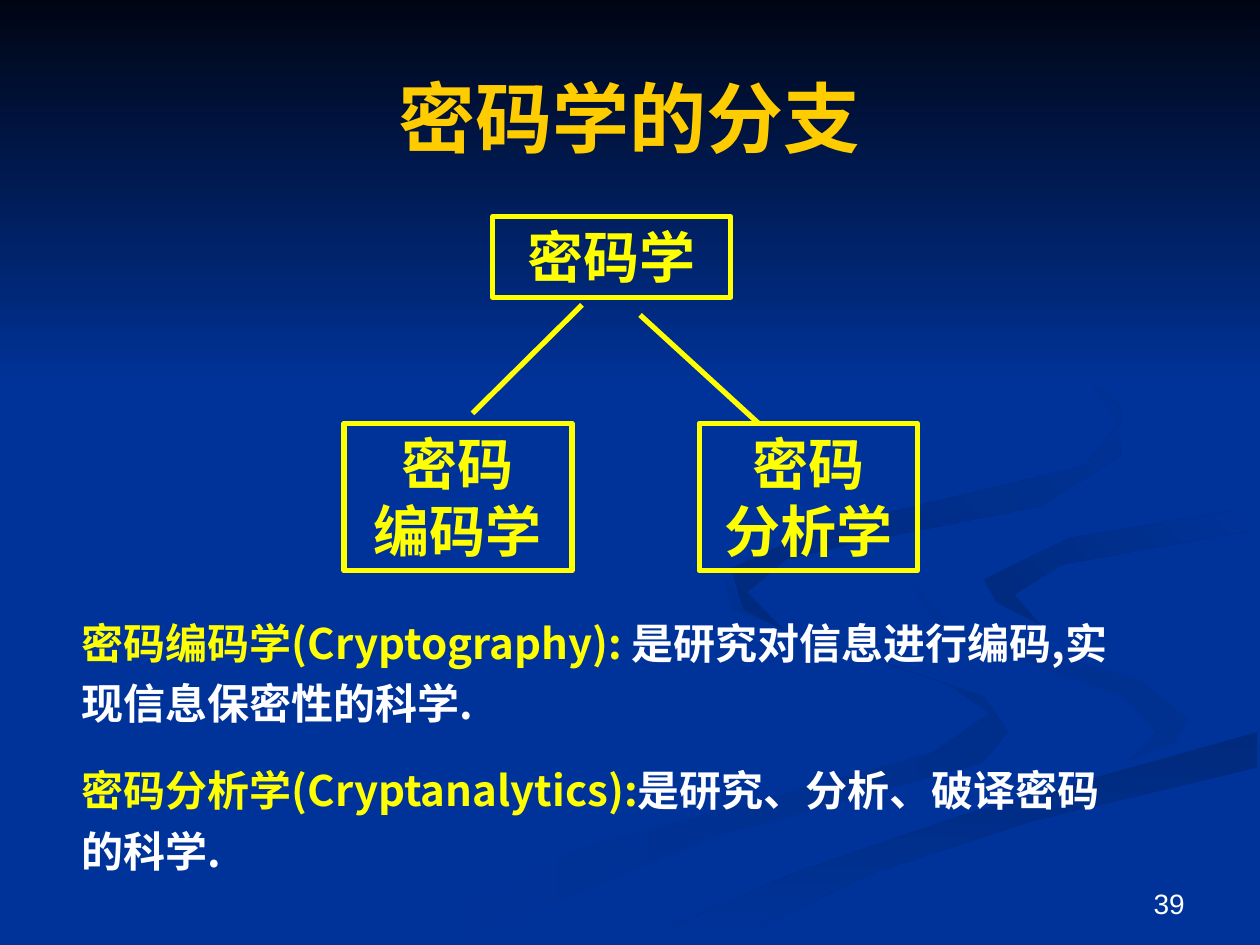
from lxml.etree import SubElement
from pptx import Presentation
from pptx.dml.color import RGBColor
from pptx.enum.shapes import MSO_CONNECTOR, MSO_SHAPE
from pptx.enum.text import MSO_ANCHOR, MSO_AUTO_SIZE, PP_ALIGN
from pptx.oxml.ns import qn
from pptx.util import Inches, Pt

COLORS = {"blue": "003399", "night": "000514", "gold": "FFCC00", "yellow": "FFFF00", "white": "FFFFFF",
          "dusk": "002E8B", "deep": "002A7D"}
RGB = {name: RGBColor.from_string(value) for name, value in COLORS.items()}
CJK = "Noto Sans CJK SC"

prs = Presentation()
prs.slide_width, prs.slide_height = Inches(10), Inches(7.5)
UNIT = prs.slide_width // 1000
slide = prs.slides.add_slide(prs.slide_layouts[1])
shapes = slide.shapes
slide.background.fill.solid()
slide.background.fill.fore_color.rgb = RGB["blue"]


def grid(*cells):
    return [cell * UNIT for cell in cells]


def style(run, size, color, face, bold=True):
    run.font.size, run.font.bold, run.font.name = Pt(size), bold, face
    run.font.color.rgb = RGB[color]
    SubElement(run.font._element, qn("a:ea")).set("typeface", CJK)


waves = [
    ("blue", "dusk", 0, [(781, 553), (614, 496), (575, 459), (581, 484), (752, 543), (786, 566),
                         (739, 598), (458, 674), (300, 749), (361, 749), (564, 665), (780, 605), (800, 581)]),
    ("blue", "dusk", 45, [(943, 571), (905, 540), (758, 498), (724, 464), (746, 500),
                          (892, 553), (918, 581), (894, 605), (932, 589)]),
    ("deep", "blue", 270, [(503, 749), (571, 749), (695, 692), (821, 651), (998, 609),
                           (998, 581), (764, 647), (630, 693)]),
    ("deep", "blue", 45, [(781, 460), (791, 478), (826, 496), (805, 472), (843, 448),
                          (998, 420), (998, 402), (849, 427)]),
    ("deep", "blue", 45, [(683, 430), (825, 402), (889, 362), (890, 324), (843, 275), (762, 233),
                          (846, 279), (889, 335), (861, 370), (649, 420), (580, 451), (590, 484),
                          (622, 500), (593, 470), (624, 444)]),
    ("night", "blue", 270, [(0, 0), (0, 308), (1000, 308), (1000, 0)]),
]
for start, end, angle, outline in waves:
    builder = shapes.build_freeform(*outline[0], scale=UNIT)
    builder.add_line_segments(outline[1:], close=True)
    wave = builder.convert_to_shape()
    wave.shadow.inherit = False
    wave.line.fill.background()
    wave.fill.gradient()
    wave.fill.gradient_angle = angle
    for stop, color, position in zip(wave.fill.gradient_stops, (start, end), (0, 1)):
        stop.color.rgb, stop.position = RGB[color], position

title = shapes.title
title.left, title.top, title.width, title.height = grid(50, 30, 900, 125)
title.text_frame.text = "密码学的分支"
title.text_frame.vertical_anchor = MSO_ANCHOR.MIDDLE
title.text_frame.paragraphs[0].alignment = PP_ALIGN.CENTER
style(title.text_frame.paragraphs[0].runs[0], 44, "gold", "Times New Roman")
shapes._spTree.append(title._element)

page = shapes.add_textbox(*grid(717, 683, 233, 52)).text_frame
page.word_wrap = True
page.vertical_anchor = MSO_ANCHOR.BOTTOM
page.text = "39"
page.paragraphs[0].alignment = PP_ALIGN.RIGHT
style(page.paragraphs[0].runs[0], 16, "white", "Arial", False)

branches = [((391, 172, 189, 64), "密码学"),
            ((273, 336, 181, 117), "密码\n编码学"),
            ((555, 336, 173, 117), "密码\n分析学")]
for cells, label in branches:
    branch = shapes.add_shape(MSO_SHAPE.RECTANGLE, *grid(*cells))
    branch.shadow.inherit = False
    branch.fill.background()
    branch.line.color.rgb, branch.line.width = RGB["yellow"], Pt(3)
    branch.text_frame.word_wrap = True
    branch.text_frame.vertical_anchor = MSO_ANCHOR.TOP
    branch.text_frame.text = label
    for line in branch.text_frame.paragraphs:
        line.alignment = PP_ALIGN.CENTER
        style(line.runs[0], 32, "yellow", "Arial")

for ends in [(462, 242, 375, 328), (508, 250, 602, 336)]:
    link = shapes.add_connector(MSO_CONNECTOR.STRAIGHT, *grid(*ends))
    link.line.color.rgb, link.line.width = RGB["yellow"], Pt(3)
    SubElement(link._element.spPr, qn("a:effectLst"))

definitions = slide.placeholders[1]
definitions.left, definitions.top, definitions.width, definitions.height = grid(55, 477, 859, 223)
frame = definitions.text_frame
frame.auto_size = MSO_AUTO_SIZE.NONE
frame.word_wrap = True
entries = [("密码编码学(Cryptography): ", "是研究对信息进行编码,实现信息保密性的科学."),
           ("密码分析学(Cryptanalytics):", "是研究、分析、破译密码的科学.")]
for index, entry in enumerate(entries):
    paragraph = frame.add_paragraph() if index else frame.paragraphs[0]
    properties = paragraph._p.get_or_add_pPr()
    properties.set("marL", "0")
    properties.set("indent", "0")
    SubElement(properties, qn("a:buNone"))
    paragraph.line_spacing = 1.2
    paragraph.space_before = Pt(15 * index)
    for words, color in zip(entry, ("yellow", "white")):
        run = paragraph.add_run()
        run.text = words
        style(run, 24, color, CJK)
shapes._spTree.append(definitions._element)

prs.save("out.pptx")
